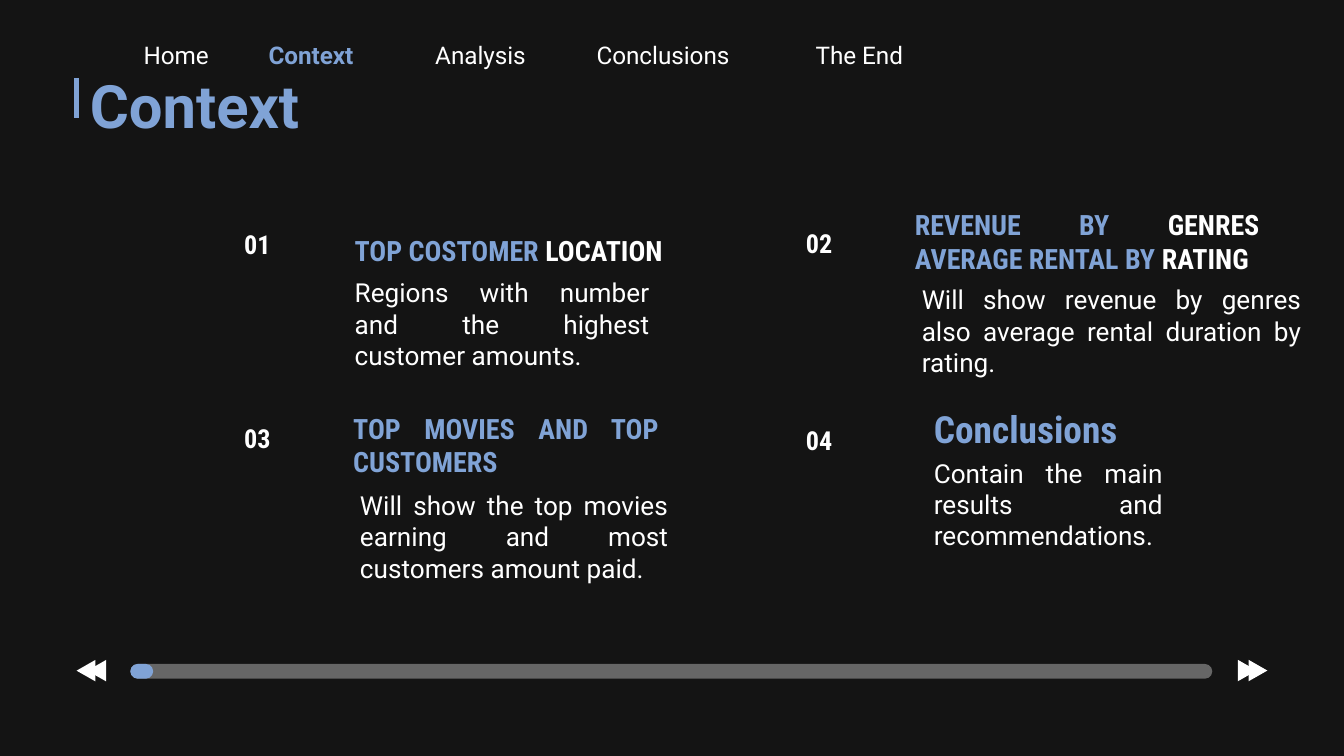
from dataclasses import dataclass

from lxml import etree
from pptx import Presentation
from pptx import util as u
from pptx.dml.color import RGBColor
from pptx.enum import shapes, text
from pptx.oxml.ns import qn

PX = 9144


@dataclass(frozen=True)
class Theme:
    """Colours, fonts and type sizes of the slide."""
    background: str = "141414"
    accent: str = "80A3D6"
    plain: str = "FFFFFF"
    body_font: str = "Roboto"
    heading_font: str = "Roboto Condensed"
    title: int = 32
    closing: int = 20
    heading: int = 15
    body: int = 14
    navigation: int = 13


THEME = Theme()
ACCENT, PLAIN = THEME.accent, THEME.plain
JUSTIFY, CENTER, LEFT = text.PP_ALIGN.JUSTIFY, text.PP_ALIGN.CENTER, text.PP_ALIGN.LEFT
MIDDLE, TOP = text.MSO_ANCHOR.MIDDLE, text.MSO_ANCHOR.TOP


def emu(*lengths):
    """Turn px lengths into EMU."""
    return [u.Emu(length * PX) for length in lengths]


def add_text(slide, box, lines, size, font, bold=False, align=LEFT, anchor=MIDDLE,
             insets=(10, 10)):
    """Write lines of (words, colour) runs as one paragraph in a box."""
    frame = slide.shapes.add_textbox(*emu(*box)).text_frame
    frame.word_wrap = True
    frame.vertical_anchor = anchor
    frame.margin_left, frame.margin_right = emu(10, 10)
    frame.margin_top, frame.margin_bottom = emu(*insets)
    paragraph = frame.paragraphs[0]
    paragraph.alignment = align
    for index, line in enumerate(lines):
        if index:
            paragraph.add_line_break()
        for words, colour in line:
            run = paragraph.add_run()
            run.text = words
            run.font.name = font
            run.font.size = u.Pt(size)
            run.font.bold = bold
            run.font.color.rgb = RGBColor.from_string(colour)


def add_solid(slide, kind, box, colour, rotation=0, alpha=None):
    """Draw a filled preset shape without outline or shadow."""
    shape = slide.shapes.add_shape(kind, *emu(*box))
    shape.shadow.inherit = False
    shape.rotation = rotation
    shape.line.fill.background()
    shape.fill.solid()
    shape.fill.fore_color.rgb = RGBColor.from_string(colour)
    if alpha is not None:
        tint = shape._element.spPr.find(qn("a:solidFill"))[0]
        etree.SubElement(tint, qn("a:alpha"), val=str(alpha * 1000))
    return shape


def add_navigation(slide, box, items, current):
    """Lay out the menu labels and highlight the current one."""
    left, top, _, height = box
    for label, offset, width in items:
        active = label == current
        add_text(slide, (left + offset, top, width, height),
                 [[(label, ACCENT if active else PLAIN)]],
                 THEME.navigation, THEME.body_font, bold=active)


def add_title(slide, box, words):
    """Place the slide title with its accent bar."""
    left, top, _, _ = box
    bar = slide.shapes.add_connector(shapes.MSO_CONNECTOR.STRAIGHT,
                                     *emu(left, top - 11, left, top + 19))
    bar.line.color.rgb = RGBColor.from_string(ACCENT)
    bar.line.width = u.Pt(2.25)
    etree.SubElement(bar._element.spPr, qn("a:effectLst"))
    add_text(slide, box, [[(words, ACCENT)]], THEME.title, THEME.body_font,
             bold=True, insets=(0, 45))


def add_topic(slide, box, number, drop, heading, body, heading_box, body_box,
              size=THEME.heading, align=LEFT, body_bottom=10):
    """Place a numbered topic: number, heading and description."""
    left, top, width, height = box

    def inside(x, y, w, h):
        """Move a box from topic to slide coordinates."""
        return left + x, top + y, w, h

    add_text(slide, inside(0, drop, width, height), [[(number, PLAIN)]], THEME.body,
             THEME.heading_font, bold=True, align=CENTER, anchor=TOP, insets=(5, 5))
    add_text(slide, inside(*heading_box), heading, size, THEME.heading_font,
             bold=True, align=align)
    add_text(slide, inside(*body_box), [[(body, PLAIN)]], THEME.body,
             THEME.body_font, align=JUSTIFY, insets=(10, body_bottom))


def add_player(slide, box):
    """Draw the progress bar between rewind and forward arrows."""
    left, top, width, _ = box
    pill, triangle = shapes.MSO_SHAPE.ROUNDED_RECTANGLE, shapes.MSO_SHAPE.ISOSCELES_TRIANGLE
    for length, colour, alpha in ((805, PLAIN, 35), (17, ACCENT, None)):
        track = add_solid(slide, pill, (left + 41, top + 2, length, 11), colour, alpha=alpha)
        track.adjustments[0] = 0.5
    for start, rotation in ((left, 270), (left + width - 24, 90)):
        for offset in (0, 8):
            add_solid(slide, triangle, (start + offset, top, 16, 14), PLAIN, rotation)


def main():
    """Build the context slide and save it."""
    presentation = Presentation()
    presentation.slide_width = u.Emu(1000 * PX)
    presentation.slide_height = u.Emu(presentation.slide_width * 9 // 16)
    slide = presentation.slides.add_slide(presentation.slide_layouts[6])
    slide.background.fill.solid()
    slide.background.fill.fore_color.rgb = RGBColor.from_string(THEME.background)

    add_title(slide, (57, 69, 855, 63), "Context")
    add_topic(slide, (130, 157, 123, 96), "01", 8,
              [[("TOP COSTOMER ", ACCENT), ("LOCATION", PLAIN)]],
              "Regions with number and the highest customer amounts.",
              (124, 0, 262, 58), (124, 48, 239, 72))
    add_topic(slide, (548, 132, 123, 96), "02", 32,
              [[("REVENUE BY ", ACCENT), ("GENRES", PLAIN)],
               [("AVERAGE RENTAL BY ", ACCENT), ("RATING", PLAIN)]],
              "Will show revenue by genres also average rental duration by rating.",
              (123, 0, 276, 95), (128, 89, 302, 74), align=JUSTIFY, body_bottom=34)
    add_topic(slide, (130, 302, 123, 96), "03", 7,
              [[("TOP MOVIES AND TOP CUSTOMERS", ACCENT)]],
              "Will show the top movies earning and most customers amount paid.",
              (123, 0, 247, 58), (128, 60, 249, 74), align=JUSTIFY)
    add_topic(slide, (548, 290, 123, 96), "04", 21,
              [[("Conclusions", ACCENT)]],
              "Contain the main results and recommendations.",
              (137, 0, 207, 58), (137, 48, 190, 74), size=THEME.closing)
    add_player(slide, (56, 492, 888, 14))
    add_navigation(slide, (97, 24, 618, 34),
                   (("Home", 0, 93), ("Context", 93, 126), ("Analysis", 217, 126),
                    ("Conclusions", 337, 151), ("The End", 500, 118)), "Context")
    presentation.save("out.pptx")


if __name__ == "__main__":
    main()
